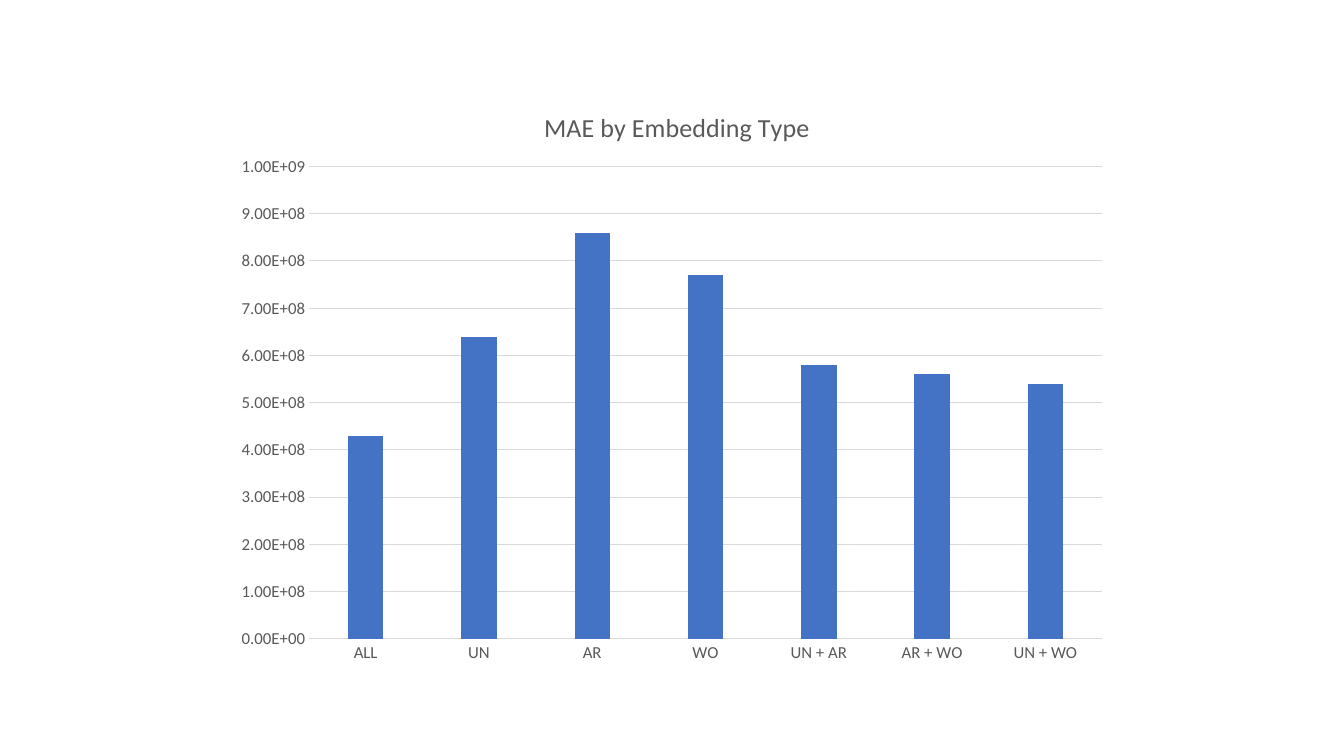
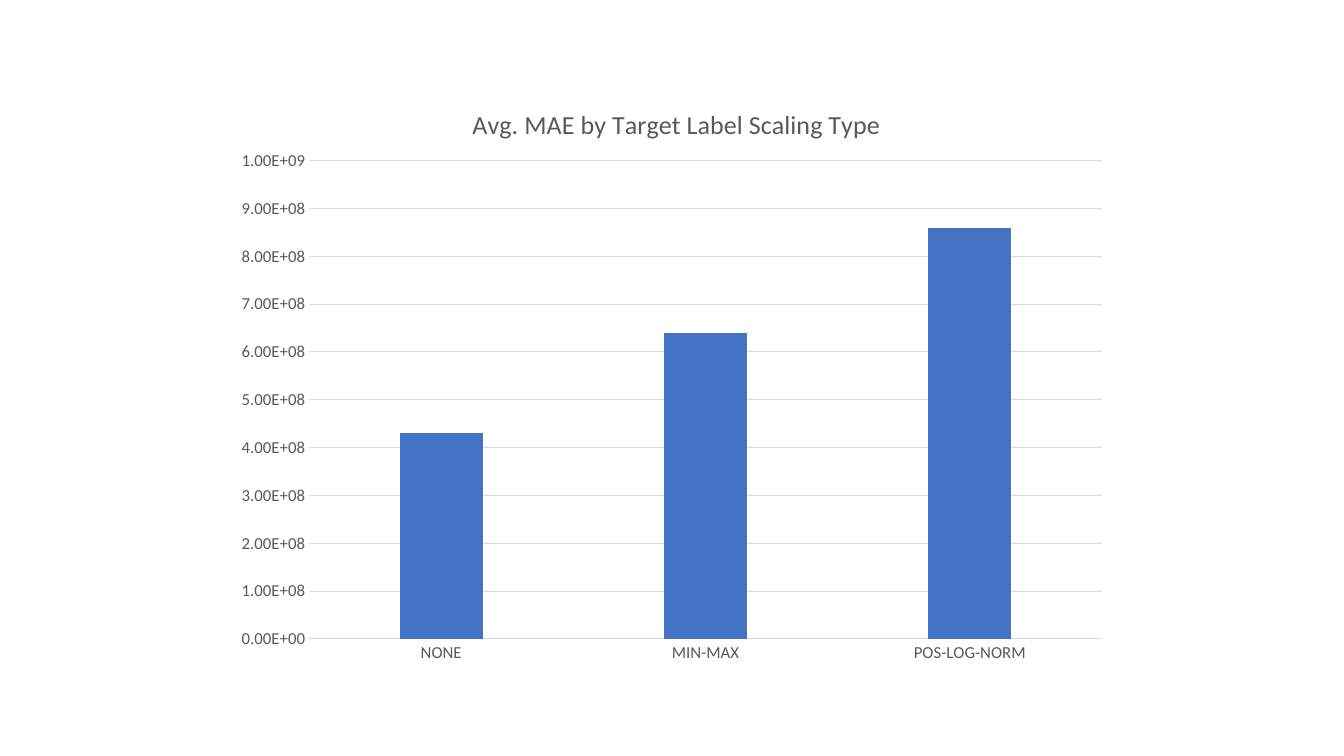
"""Build two slides that compare mean absolute error in column charts."""
from dataclasses import dataclass

from lxml import etree
from pptx import Presentation
from pptx.chart.axis import CategoryAxis, ValueAxis
from pptx.chart.data import CategoryChartData
from pptx.dml.color import RGBColor
from pptx.enum.chart import XL_CHART_TYPE, XL_TICK_MARK
from pptx.oxml.ns import qn
from pptx.presentation import Presentation as Deck
from pptx.text.text import Font
from pptx.util import Inches, Pt

COLUMNS = XL_CHART_TYPE.COLUMN_CLUSTERED
NO_TICK = XL_TICK_MARK.NONE
COLORS = {"bar": "4472C4", "text": "595959", "rule": "D9D9D9"}
FONT_NAME = "Calibri"
TITLE_SIZE, LABEL_SIZE = 18.6, 12
SLIDE_WIDTH, SLIDE_HEIGHT = Inches(13.33), Inches(7.5)
CHART_WIDTH_SHARE, CHART_HEIGHT_SHARE = 2 / 3, 0.79
PLOT_LEFT, PLOT_WIDTH, PLOT_BOTTOM = 0.095, 0.885, 0.937
AXIS_MAXIMUM, AXIS_STEP = 1e9, 1e8
MILLION = 1_000_000


@dataclass(frozen=True)
class ErrorChart:
    """Title, values in millions, and title and plot offsets as chart shares."""

    title: str
    millions: dict[str, int]
    title_left: float
    title_top: float
    plot_top: float


CHARTS = (
    ErrorChart(
        "MAE by Embedding Type",
        {"ALL": 430, "UN": 640, "AR": 860, "WO": 770,
         "UN + AR": 580, "AR + WO": 560, "UN + WO": 540},
        title_left=0.352, title_top=0.042, plot_top=0.146,
    ),
    ErrorChart(
        "Avg. MAE by Target Label Scaling Type",
        {"NONE": 430, "MIN-MAX": 640, "POS-LOG-NORM": 860},
        title_left=0.272, title_top=0.037, plot_top=0.136,
    ),
)


def color(name: str) -> RGBColor:
    """Look up a palette colour."""
    return RGBColor.from_string(COLORS[name])


def style_font(font: Font, size: float) -> None:
    """Apply the shared chart text style."""
    font.name = FONT_NAME
    font.size = Pt(size)
    font.bold = False
    font.color.rgb = color("text")


def style_axis(axis: CategoryAxis | ValueAxis) -> None:
    """Apply the style that both axes share."""
    axis.major_tick_mark = axis.minor_tick_mark = NO_TICK
    style_font(axis.tick_labels.font, LABEL_SIZE)


def place(parent: etree._Element, index: int, **settings: str | float) -> None:
    """Give a chart part a manual layout at the given child index."""
    for old_layout in parent.findall(qn("c:layout")):
        parent.remove(old_layout)
    layout = etree.Element(qn("c:layout"))
    manual = etree.SubElement(layout, qn("c:manualLayout"))
    for tag, value in settings.items():
        etree.SubElement(manual, qn(f"c:{tag}")).set("val", str(value))
    parent.insert(index, layout)


def add_chart_page(deck: Deck, content: ErrorChart) -> None:
    """Add a slide with one centred column chart."""
    page = deck.slides.add_slide(deck.slide_layouts[6])
    data = CategoryChartData(number_format="0.00E+00")
    data.categories = list(content.millions)
    data.add_series("Series 1", [value * MILLION for value in content.millions.values()])
    width = int(SLIDE_WIDTH * CHART_WIDTH_SHARE)
    height = int(SLIDE_HEIGHT * CHART_HEIGHT_SHARE)
    left, top = (SLIDE_WIDTH - width) // 2, (SLIDE_HEIGHT - height) // 2
    chart = page.shapes.add_chart(COLUMNS, left, top, width, height, data).chart
    chart.has_legend = False
    chart.font.name = FONT_NAME

    title = chart.chart_title
    title.text_frame.text = content.title
    style_font(title.text_frame.paragraphs[0].runs[0].font, TITLE_SIZE)
    title.include_in_layout = False
    place(title.element, 1, xMode="edge", yMode="edge",
          x=content.title_left, y=content.title_top)

    plot = chart.plots[0]
    plot.gap_width, plot.overlap = 219, -27
    plot.vary_by_categories = False
    bars = plot.series[0].format.fill
    bars.solid()
    bars.fore_color.rgb = color("bar")
    place(chart.element.find(f".//{qn('c:plotArea')}"), 0,
          layoutTarget="inner", xMode="edge", yMode="edge",
          x=PLOT_LEFT, y=content.plot_top,
          w=PLOT_WIDTH, h=round(PLOT_BOTTOM - content.plot_top, 3))

    value_axis = chart.value_axis
    style_axis(chart.category_axis)
    style_axis(value_axis)
    value_axis.minimum_scale, value_axis.maximum_scale = 0, AXIS_MAXIMUM
    value_axis.major_unit = AXIS_STEP
    value_axis.tick_labels.number_format = "0.00E+00"
    value_axis.tick_labels.number_format_is_linked = False
    value_axis.format.line.fill.background()
    for rule in (chart.category_axis.format.line, value_axis.major_gridlines.format.line):
        rule.color.rgb = color("rule")
        rule.width = Pt(0.75)


def main() -> None:
    """Build and save the deck."""
    deck = Presentation()
    deck.slide_width, deck.slide_height = SLIDE_WIDTH, SLIDE_HEIGHT
    for content in CHARTS:
        add_chart_page(deck, content)
    deck.save("out.pptx")


if __name__ == "__main__":
    main()
